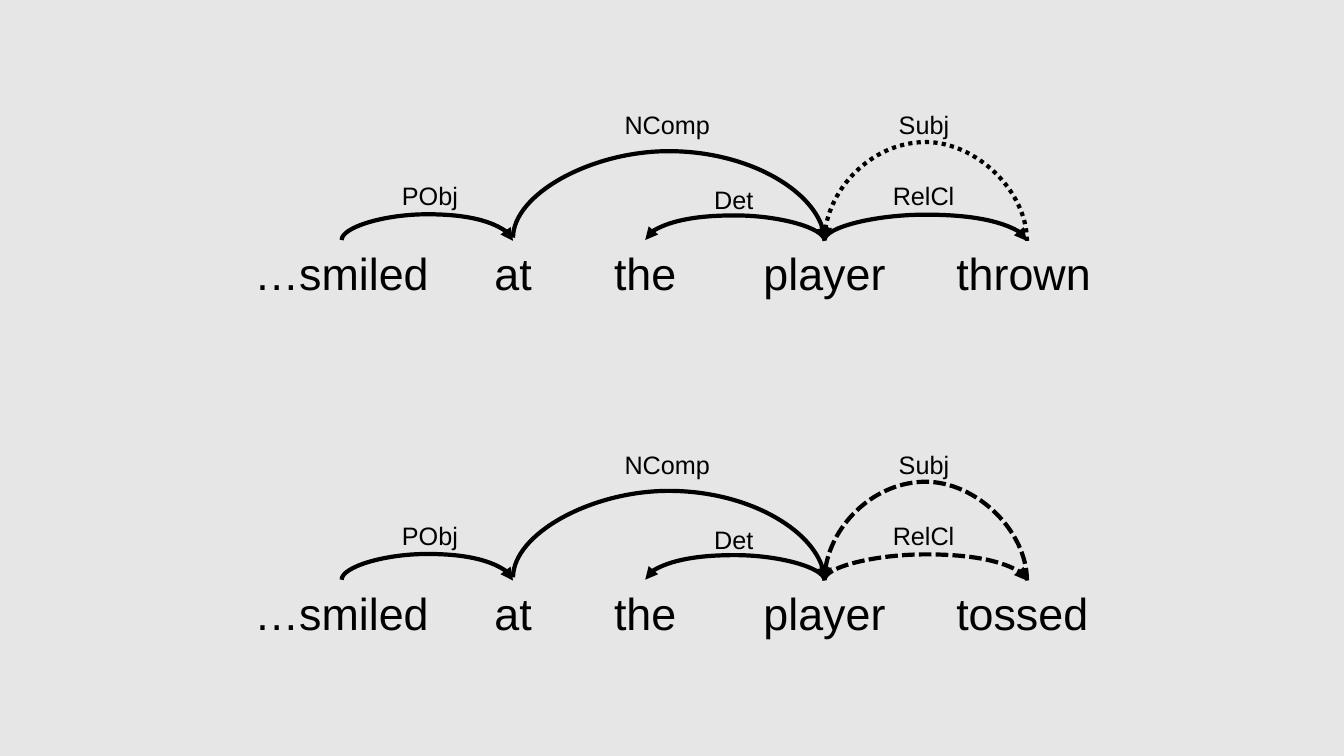
from dataclasses import dataclass

from lxml.etree import SubElement
from pptx import Presentation
from pptx.dml.color import RGBColor as Color
from pptx.enum.dml import MSO_LINE_DASH_STYLE as Dash
from pptx.enum.shapes import MSO_CONNECTOR as Connector
from pptx.enum.text import MSO_AUTO_SIZE as AutoSize, PP_ALIGN as Align
from pptx.oxml.ns import qn
from pptx.util import Cm, Pt


@dataclass(frozen=True)
class Theme:
    """Colours, typeface and sizes of the slide."""
    ground: Color = Color(0xE7, 0xE6, 0xE6)
    ink: Color = Color(0, 0, 0)
    font: str = "Arial"
    word_size: int = 32
    label_size: int = 18
    line_width: int = 3


def apply(target, formats):
    """Set every attribute named in formats on the target."""
    for name, value in formats.items():
        setattr(target, name, value)


class Diagram:
    """Draws the parts of a dependency diagram on one page."""

    def __init__(self, page, theme):
        """Keep the page and theme, and colour the ground."""
        self.page, self.theme = page, theme
        page.background.fill.solid()
        page.background.fill.fore_color.rgb = theme.ground

    def text(self, wording, left, top, width, height, size, align):
        """Add one line of text."""
        box = self.page.shapes.add_textbox(Cm(left), Cm(top), Cm(width), Cm(height))
        apply(box.text_frame, {"word_wrap": True, "auto_size": AutoSize.SHAPE_TO_FIT_TEXT})
        para = box.text_frame.paragraphs[0]
        para.alignment = align
        span = para.add_run()
        span.text = wording
        apply(span.font, {"name": self.theme.font, "size": Pt(size)})
        span.font.color.rgb = self.theme.ink

    def word(self, wording, centre, top, width, align=Align.CENTER):
        """Add a word of the sentence around its anchor."""
        self.text(wording, centre - width / 2, top, width, 1.62, self.theme.word_size, align)

    def label(self, wording, left, top, width):
        """Add the name of a relation."""
        self.text(wording, left, top, width, 1.02, self.theme.label_size, Align.LEFT)

    def arc(self, start, end, base, rise, drop=0.02, dash=Dash.SOLID):
        """Add an arrow that bows upward from start to end, turned by 270 degrees."""
        middle, half = (start + end) / 2, (end - start) / 2
        side = drop / 2 if end > start else -drop / 2
        centre = base - drop / 2
        line = self.page.shapes.add_connector(
            Connector.CURVE, Cm(middle + side), Cm(centre - half),
            Cm(middle - side), Cm(centre + half))
        apply(line.line, {"width": Pt(self.theme.line_width), "dash_style": dash})
        line.line.color.rgb = self.theme.ink
        properties = line._element.spPr
        properties.find(qn("a:xfrm")).set("rot", "16200000")
        bend = -rise / drop if end > start else rise / drop
        guides = properties.find(qn("a:prstGeom")).get_or_add_avLst()
        guide = SubElement(guides, qn("a:gd"))
        guide.set("name", "adj1")
        guide.set("fmla", f"val {round(bend * 100000)}")
        SubElement(properties.find(qn("a:ln")), qn("a:tailEnd")).set("type", "triangle")
        SubElement(properties, qn("a:effectLst"))


SMILED, AT, THE, PLAYER, VERB = 8.61, 12.93, 16.26, 20.78, 25.88
WORDS = [("…smiled", SMILED, 4.93), ("at", AT, 2.69), ("the", THE, 2.69), ("player", PLAYER, 3.61)]
LABELS = [
    ("PObj", 9.88, 1.65, 1.98),
    ("Det", 17.75, 1.55, 1.5),
    ("NComp", 15.49, 3.43, 2.72),
    ("RelCl", 22.25, 1.65, 2.16),
    ("Subj", 22.4, 3.43, 1.88),
]
SENTENCES = [("thrown", Dash.SOLID, Dash.ROUND_DOT), ("tossed", Dash.SQUARE_DOT, Dash.SQUARE_DOT)]
DASH_NAMES = {Dash.ROUND_DOT: "sysDot", Dash.SQUARE_DOT: "sysDash"}
FIRST_BASE, SENTENCE_STEP = 6.07, 8.56


def main():
    """Build and save the slide."""
    deck = Presentation()
    apply(deck, {"slide_width": Cm(33.87), "slide_height": Cm(19.05)})
    diagram = Diagram(deck.slides.add_slide(deck.slide_layouts[6]), Theme())
    for row, (verb, clause_dash, subject_dash) in enumerate(SENTENCES):
        base = FIRST_BASE + row * SENTENCE_STEP
        for wording, centre, width in WORDS:
            diagram.word(wording, centre, base, width)
        diagram.word(verb, VERB, base, 4.06, Align.LEFT)
        diagram.arc(SMILED, AT, base, 0.65)
        diagram.arc(PLAYER, THE, base, 0.64)
        diagram.arc(AT, PLAYER, base, 2.18, drop=0.08)
        diagram.arc(PLAYER, VERB, base, 0.64, dash=clause_dash)
        diagram.arc(VERB, PLAYER, base, 2.49, dash=subject_dash)
        for wording, left, lift, width in LABELS:
            diagram.label(wording, left, base - lift, width)
    deck.save("out.pptx")


if __name__ == "__main__":
    main()
